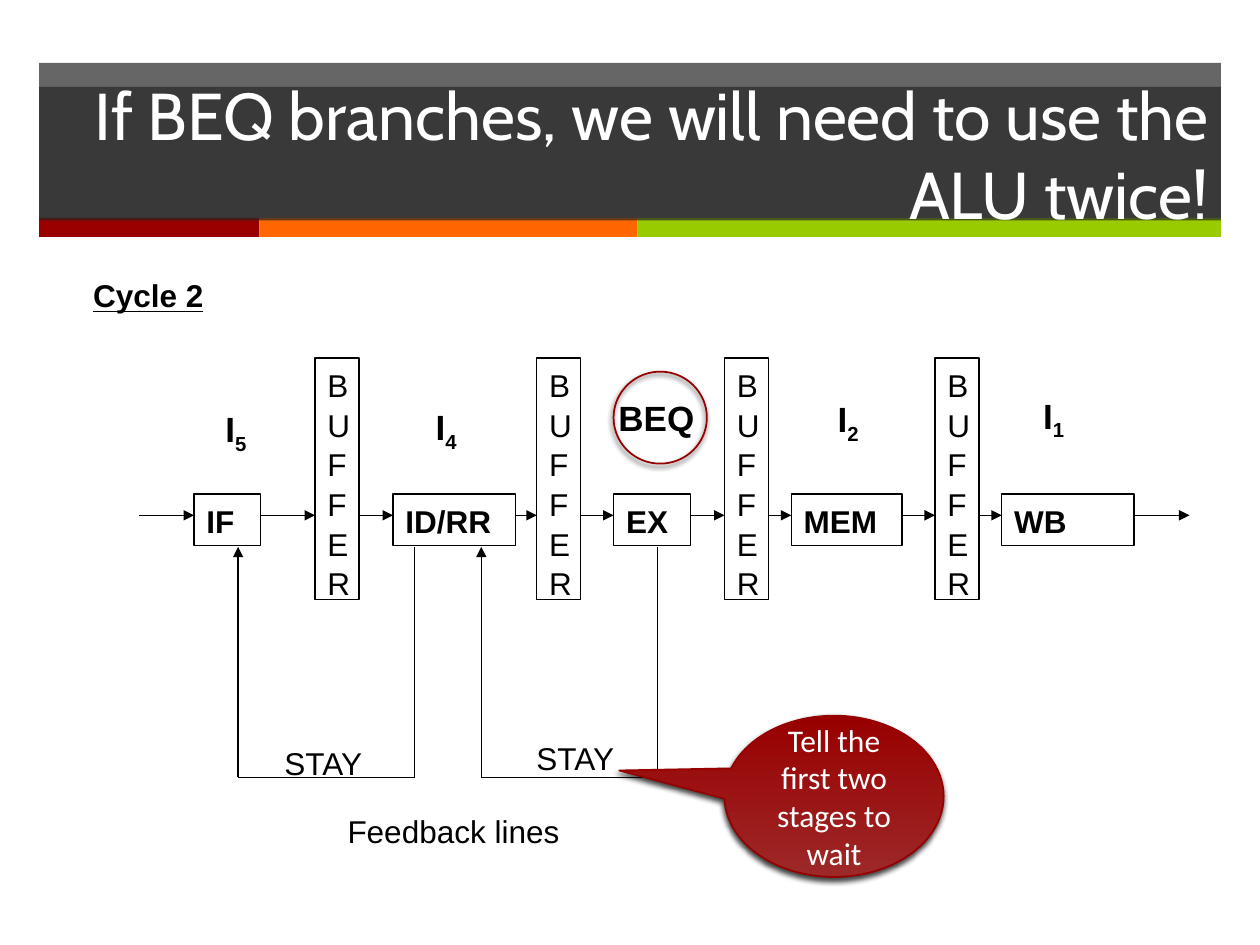
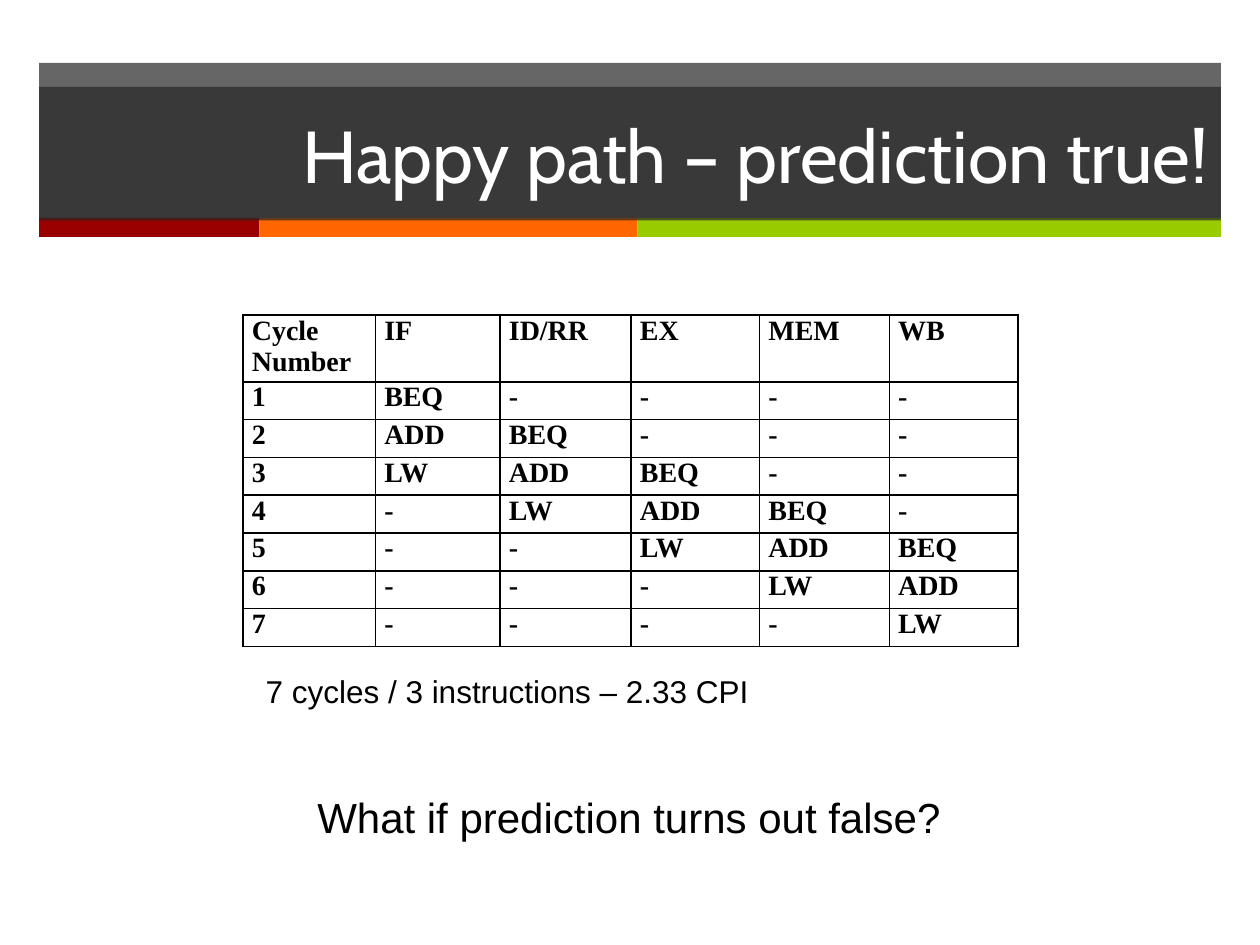
from dataclasses import dataclass
from itertools import pairwise

from lxml import etree
from pptx import Presentation
from pptx.dml.color import RGBColor
from pptx.enum.shapes import MSO_CONNECTOR, MSO_SHAPE
from pptx.enum.text import MSO_ANCHOR, MSO_AUTO_SIZE, PP_ALIGN
from pptx.oxml.ns import qn
from pptx.util import Inches, Pt

RECT, OVAL = MSO_SHAPE.RECTANGLE, MSO_SHAPE.OVAL
CALLOUT = MSO_SHAPE.OVAL_CALLOUT
STRAIGHT = MSO_CONNECTOR.STRAIGHT
TOP, MIDDLE = MSO_ANCHOR.TOP, MSO_ANCHOR.MIDDLE
LEFT, CENTER, RIGHT = PP_ALIGN.LEFT, PP_ALIGN.CENTER, PP_ALIGN.RIGHT
NO_AUTOSIZE = MSO_AUTO_SIZE.NONE


@dataclass(frozen=True)
class Theme:
    """Colours, fonts and type sizes of the deck."""
    band: str = "262626"
    band_alpha: int = 70
    stripes: tuple = ("990000", "FF6600", "99CC00")
    ink: str = "000000"
    paper: str = "FFFFFF"
    accent_line: str = "960000"
    accent_light: str = "9D2828"
    accent: str = "990000"
    title_font: str = "Cabin"
    body_font: str = "Arial"
    callout_font: str = "Calibri"
    table_font: str = "Times New Roman"
    title: float = 42
    long_title: float = 37.8
    question: float = 24
    instruction: float = 20
    body: float = 18
    table: float = 16
    leading: float = 1.05


THEME = Theme()
STAGES = ("IF", "ID/RR", "EX", "MEM", "WB")
STAGE_SPANS = ((1.54, 0.53), (3.12, 0.97), (4.87, 0.61), (6.28, 0.88), (7.95, 1.05))
BUFFER_LEFTS = (2.5, 4.26, 5.75, 7.42)
BUFFER_WIDTH = 0.35
STAGE_TOP, STAGE_HEIGHT = 3.92, 0.41
FLOW_Y, FLOW_START, FLOW_END = 4.09, 1.1, 9.44
FEEDBACK_Y = 6.17
BAND_LEFT, BAND_WIDTH = 0.31, 9.38


def rgb(value):
    """Turn a hex string into a colour."""
    return RGBColor.from_string(value)


def box(at):
    """Turn left, top, width and height into lengths."""
    return [Inches(v) for v in at]


def style(p, size, font=THEME.body_font, color=THEME.ink, bold=False, align=LEFT):
    """Format a whole paragraph."""
    p.alignment = align
    p.font.size = Pt(size)
    p.font.name = font
    p.font.bold = bold
    p.font.color.rgb = rgb(color)


def set_fill(sp, color, alpha=100):
    """Fill a shape with one colour, translucent if alpha is below 100."""
    sp.fill.solid()
    sp.fill.fore_color.rgb = rgb(color)
    if alpha < 100:
        clr = sp._element.spPr.find(".//" + qn("a:srgbClr"))
        etree.SubElement(clr, qn("a:alpha")).set("val", str(alpha * 1000))


def add_shape(s, kind, at, fill=None, alpha=100, line=None, width=0.75):
    """Add a flat preset shape."""
    sp = s.shapes.add_shape(kind, *box(at))
    sp.shadow.inherit = False
    if fill:
        set_fill(sp, fill, alpha)
    else:
        sp.fill.background()
    if line:
        sp.line.color.rgb = rgb(line)
        sp.line.width = Pt(width)
    else:
        sp.line.fill.background()
    return sp


def add_shadow(sp):
    """Give a shape a soft shadow below it."""
    effects = sp._element.spPr.find(qn("a:effectLst"))
    shadow = etree.SubElement(effects, qn("a:outerShdw"), blurRad=str(Pt(3)),
                              dist=str(Pt(2)), dir=str(110 * 60000), rotWithShape="0")
    clr = etree.SubElement(shadow, qn("a:srgbClr"), val=THEME.ink)
    etree.SubElement(clr, qn("a:alpha"), val="75000")


def add_box(s, at, lines, bold=False):
    """Add an outlined box with one paragraph per line."""
    tf = add_shape(s, RECT, at, line=THEME.ink).text_frame
    tf.word_wrap = True
    tf.vertical_anchor = TOP
    tf.text = "\n".join(lines)
    for p in tf.paragraphs:
        style(p, THEME.body, bold=bold)
        p.line_spacing = THEME.leading


def add_label(s, at, text, size=THEME.body, bold=False, underline=False,
              sub=None, wrap=False):
    """Add a text label, with an optional subscript."""
    tf = s.shapes.add_textbox(*box(at)).text_frame
    tf.word_wrap = wrap
    p = tf.paragraphs[0]
    p.add_run().text = text
    if sub:
        r = p.add_run()
        r.text = sub
        r.font._element.set("baseline", "-25000")
    style(p, size, bold=bold)
    p.line_spacing = THEME.leading
    if underline:
        p.font.underline = True


def add_line(s, start, end, arrow=False):
    """Add a straight line, with an arrowhead at its end if asked."""
    cx = s.shapes.add_connector(STRAIGHT, *box(start + end))
    cx.line.color.rgb = rgb(THEME.ink)
    cx.line.width = Pt(0.75)
    if arrow:
        etree.SubElement(cx.line._get_or_add_ln(), qn("a:tailEnd"), type="triangle")
    etree.SubElement(cx._element.spPr, qn("a:effectLst"))


def add_feedback(s, start_x, end_x):
    """Add a feedback path that runs below two stages."""
    bottom = STAGE_TOP + STAGE_HEIGHT + 0.01
    points = [(start_x, bottom), (start_x, FEEDBACK_Y), (end_x, FEEDBACK_Y), (end_x, bottom)]
    for i, (start, end) in enumerate(pairwise(points)):
        add_line(s, start, end, arrow=i == 2)


def add_callout(s, at, text):
    """Add a speech bubble with a gradient."""
    sp = add_shape(s, CALLOUT, at, line=THEME.accent_line, width=1)
    sp.adjustments[0], sp.adjustments[1] = -0.98, -0.16
    sp.fill.gradient()
    sp.fill.gradient_angle = 90
    for stop, color, position in zip(sp.fill.gradient_stops,
                                     (THEME.accent_light, THEME.accent), (0, 1)):
        stop.color.rgb = rgb(color)
        stop.position = position
    add_shadow(sp)
    tf = sp.text_frame
    tf.word_wrap = True
    tf.vertical_anchor = MIDDLE
    tf.text = text
    style(tf.paragraphs[0], THEME.body, THEME.callout_font, THEME.paper, align=CENTER)


def add_table(s, at, rows, widths, heights):
    """Add a plain table with black rules."""
    table = s.shapes.add_table(len(rows), len(widths), *box(at)).table
    table.first_row = table.horz_banding = False
    for col, width in zip(table.columns, widths):
        col.width = Inches(width)
    for row, height, texts in zip(table.rows, heights, rows):
        row.height = Inches(height)
        for cell, text in zip(row.cells, texts):
            cell.text = text
            cell.margin_left = cell.margin_right = Inches(0.07)
            cell.margin_top = cell.margin_bottom = 0
            cell.fill.background()
            style(cell.text_frame.paragraphs[0], THEME.table, THEME.table_font, bold=True)
            add_borders(cell)


def add_borders(cell):
    """Draw a rule on each side of a cell."""
    tc_pr = cell._tc.get_or_add_tcPr()
    for i, side in enumerate(("lnL", "lnR", "lnT", "lnB")):
        ln = etree.Element(qn("a:" + side), w=str(Pt(1)))
        fill = etree.SubElement(ln, qn("a:solidFill"))
        etree.SubElement(fill, qn("a:srgbClr"), val=THEME.ink)
        tc_pr.insert(i, ln)


def add_bands(prs, layout):
    """Put the title band and its stripes on the layout."""
    for ph in list(layout.placeholders)[1:]:
        ph._element.getparent().remove(ph._element)
    s = prs.slides[0]
    bands = [add_shape(s, RECT, (BAND_LEFT, 0.5, BAND_WIDTH, 1.24),
                       THEME.band, THEME.band_alpha)]
    left = BAND_LEFT
    for color, width in zip(THEME.stripes, (1.75, 3, 4.63)):
        bands.append(add_shape(s, RECT, (left, 1.73, width, 0.15), color))
        left += width
    for sp in bands:
        layout.shapes._spTree.append(sp._element)


def add_slide(prs, layout, title, size=THEME.title):
    """Add a slide with its title set in the band."""
    s = prs.slides.add_slide(layout)
    sp = s.shapes.title
    sp.left, sp.top, sp.width, sp.height = box((BAND_LEFT, 0.69, BAND_WIDTH, 1.06))
    set_fill(sp, THEME.band, THEME.band_alpha)
    tf = sp.text_frame
    tf.text = title
    tf.word_wrap = True
    tf.auto_size = NO_AUTOSIZE
    tf.vertical_anchor = MIDDLE
    style(tf.paragraphs[0], size, THEME.title_font, THEME.paper, align=RIGHT)
    return s


def draw_pipeline(s):
    """Draw stages, buffers and the arrows between them."""
    for name, (left, width) in zip(STAGES, STAGE_SPANS):
        add_box(s, (left, STAGE_TOP, width, STAGE_HEIGHT), [name], bold=True)
    for left in BUFFER_LEFTS:
        add_box(s, (left, 2.84, BUFFER_WIDTH, 1.92), ["BUF", "F", "ER"])
    spans = sorted(STAGE_SPANS + tuple((left, BUFFER_WIDTH) for left in BUFFER_LEFTS))
    stops = [(FLOW_START, 0), *spans, (FLOW_END, 0)]
    for (left, width), (target, _) in pairwise(stops):
        add_line(s, (left + width, FLOW_Y), (target, FLOW_Y), arrow=True)
    add_feedback(s, 5.22, 3.82)
    add_feedback(s, 3.29, 1.89)


def draw_cycle(s):
    """Label the second cycle and its instructions."""
    add_label(s, (0.64, 2.13, 1.08, 0.4), "Cycle 2", bold=True, underline=True)
    add_label(s, (4.81, 3.08, 0.8, 0.43), "BEQ", THEME.instruction, bold=True)
    for sub, left, top in (("5", 1.69, 3.17), ("4", 3.36, 3.15),
                           ("2", 6.55, 3.09), ("1", 8.18, 3.06)):
        add_label(s, (left, top, 0.38, 0.43), "I", THEME.instruction, bold=True, sub=sub)
    for left, top in ((4.16, 5.8), (2.16, 5.84)):
        add_label(s, (left, top, 0.86, 0.4), "STAY")
    add_label(s, (2.66, 6.38, 1.88, 0.4), "Feedback lines")
    add_shadow(add_shape(s, OVAL, (4.87, 2.95, 0.74, 0.73), line=THEME.accent_line, width=1))
    add_callout(s, (5.75, 5.68, 1.74, 1.28), "Tell the first two stages to wait")


def schedule(program):
    """List which instruction is in each stage, cycle by cycle."""
    rows = [["Cycle Number", *STAGES]]
    for cycle in range(len(program) + len(STAGES) - 1):
        slots = [cycle - stage for stage in range(len(STAGES))]
        rows.append([str(cycle + 1)] + [program[i] if 0 <= i < len(program) else "-"
                                        for i in slots])
    return rows


def main():
    """Build the deck."""
    prs = Presentation()
    prs.slide_width, prs.slide_height = Inches(10), Inches(7.5)
    layout = prs.slide_layouts[5]

    s = add_slide(prs, layout, "If BEQ branches, we will need to use the ALU twice!",
                  THEME.long_title)
    add_bands(prs, layout)
    draw_pipeline(s)
    draw_cycle(s)

    s = add_slide(prs, layout, "Happy path – prediction true!")
    add_table(s, (1.93, 2.5, 6.15, 2.63), schedule(("BEQ", "ADD", "LW")),
              (1.05, 0.99, 1.04, 1.02, 1.03, 1.02), [0.53] + [0.3] * 7)
    add_label(s, (2.01, 5.27, 6.06, 0.4), "7 cycles / 3 instructions – 2.33 CPI", wrap=True)
    add_label(s, (2.42, 6.21, 5.2, 0.51), "What if prediction turns out false?", THEME.question)

    prs.save("out.pptx")


if __name__ == "__main__":
    main()
